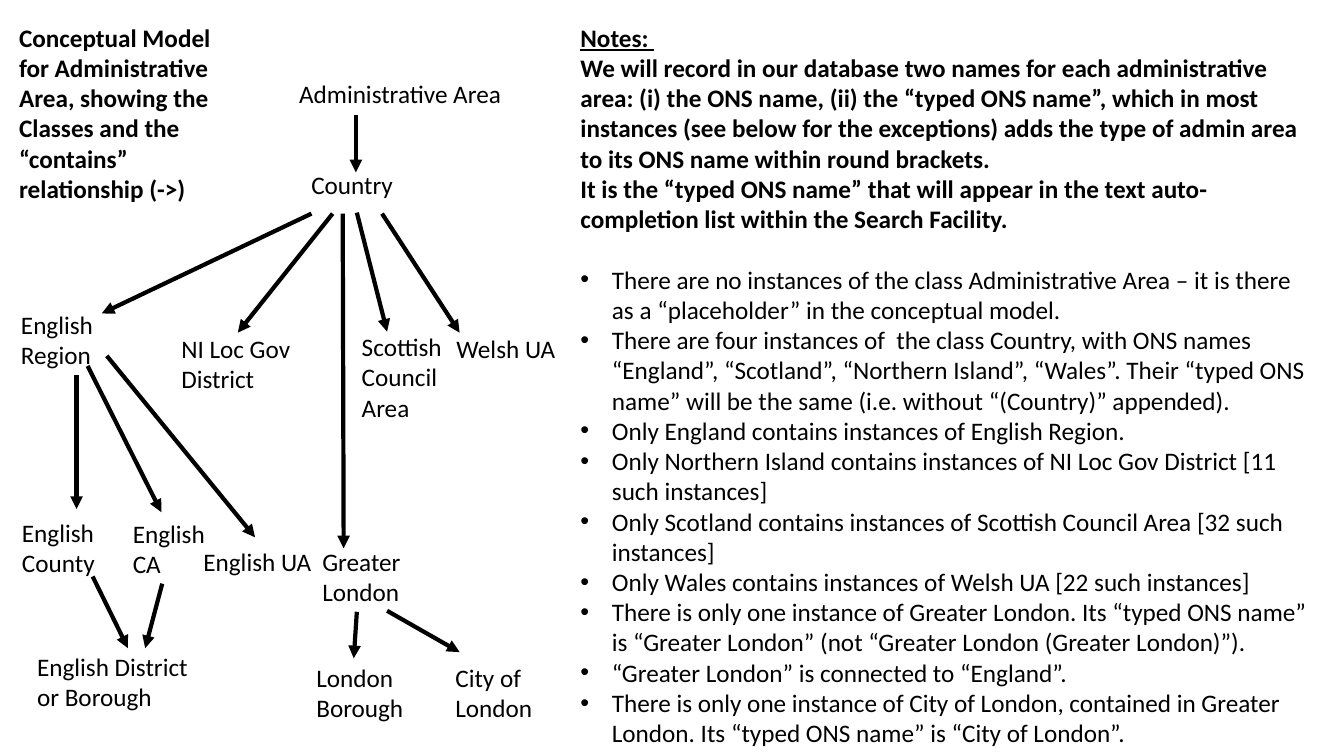
from typing import NamedTuple

from lxml.etree import SubElement
from pptx import Presentation
from pptx.dml.color import RGBColor
from pptx.enum.shapes import MSO_CONNECTOR
from pptx.oxml.ns import qn
from pptx.slide import Slide
from pptx.text.text import TextFrame, _Paragraph
from pptx.util import Pt

COLOURS = {"background": "FFFFFF", "ink": "000000"}
FONT = "Calibri"
FONT_SIZE = 18
LINE_HEIGHT = 21.6
BULLET_INDENT = 22.5


class Label(NamedTuple):
    text: str
    left: float
    top: float
    width: float
    lines: int = 1
    bold: bool = False


class Arrow(NamedTuple):
    start: tuple[float, float]
    end: tuple[float, float]


TITLE = Label(
    "Conceptual Model for Administrative Area, showing the Classes and the "
    "“contains” relationship (->)",
    6.5, 12.2, 176.4, 6, True,
)

AREA_CLASSES = [
    Label("Administrative Area", 206.6, 52.6, 167.8),
    Label("Country", 215.3, 117.4, 167.8),
    Label("English Region", 7.9, 217.4, 92.9, 2),
    Label("NI Loc Gov District", 122.4, 234.7, 113.8, 2),
    Label("Scottish Council Area", 251.3, 233.3, 92.9, 3),
    Label("Welsh UA", 319, 234.7, 113),
    Label("English County", 8.6, 365.8, 106.6, 2),
    Label("English CA", 87.8, 366.5, 77, 2),
    Label("English UA", 138.2, 386.6, 97.2),
    Label("Greater London", 223.2, 386.6, 91.4, 2),
    Label("English District or Borough", 19.4, 461.5, 137.5, 2),
    Label("London\nBorough", 218.9, 469.4, 81.4, 2),
    Label("City of London", 318.2, 469.4, 77.8, 2),
]

CONTAINS = [
    Arrow((254.2, 82.1), (254.2, 123.1)),
    Arrow((222.5, 152.6), (72.7, 223.9)),
    Arrow((237.6, 152.6), (169.9, 237.6)),
    Arrow((244.8, 152.6), (245.5, 391.7)),
    Arrow((254.9, 151.9), (276.5, 236.9)),
    Arrow((272.9, 152.6), (328.3, 237.6)),
    Arrow((54.7, 267.8), (54.7, 363.6)),
    Arrow((62.6, 261.4), (115.2, 365.8)),
    Arrow((76.3, 254.2), (182.2, 383.8)),
    Arrow((66.2, 411.8), (91.4, 463)),
    Arrow((115.9, 416.9), (103.7, 463)),
    Arrow((254.9, 437), (252.7, 470.2)),
    Arrow((276.5, 436.3), (328.3, 465.8)),
]

NOTES_HEADING = "Notes: "
NAMING_RULES = [
    "We will record in our database two names for each administrative area: "
    "(i) the ONS name, (ii) the “typed ONS name”, which in most instances "
    "(see below for the exceptions) adds the type of admin area to its ONS "
    "name within round brackets.",
    "It is the “typed ONS name” that will appear in the text "
    "auto-completion list within the Search Facility.",
]
INSTANCE_NOTES = [
    "There are no instances of the class Administrative Area – it is there "
    "as a “placeholder” in the conceptual model.",
    "There are four instances of  the class Country, with ONS names "
    "“England”, “Scotland”, “Northern Island”, “Wales”. Their “typed ONS "
    "name” will be the same (i.e. without “(Country)” appended).",
    "Only England contains instances of English Region.",
    "Only Northern Island contains instances of NI Loc Gov District "
    "[11 such instances]",
    "Only Scotland contains instances of Scottish Council Area "
    "[32 such instances]",
    "Only Wales contains instances of Welsh UA [22 such instances]",
    "There is only one instance of Greater London. Its “typed ONS name” is "
    "“Greater London” (not “Greater London (Greater London)”).",
    "“Greater London” is connected to “England”.",
    "There is only one instance of City of London, contained in Greater "
    "London. Its “typed ONS name” is “City of London”.",
]
NOTES = Label(
    "\n".join([NOTES_HEADING, *NAMING_RULES, *INSTANCE_NOTES]),
    407.5, 12.2, 535, 27,
)


def ink() -> RGBColor:
    return RGBColor.from_string(COLOURS["ink"])


def add_label(slide: Slide, label: Label) -> TextFrame:
    height = label.lines * LINE_HEIGHT + 7.2
    box = slide.shapes.add_textbox(
        Pt(label.left), Pt(label.top), Pt(label.width), Pt(height)
    )
    frame = box.text_frame
    frame.word_wrap = True
    frame.text = label.text
    for paragraph in frame.paragraphs:
        paragraph.font.name = FONT
        paragraph.font.size = Pt(FONT_SIZE)
        paragraph.font.bold = label.bold
        paragraph.font.color.rgb = ink()
    return frame


def add_arrow(slide: Slide, arrow: Arrow) -> None:
    connector = slide.shapes.add_connector(
        MSO_CONNECTOR.STRAIGHT, *map(Pt, arrow.start + arrow.end)
    )
    connector.line.width = Pt(3)
    connector.line.color.rgb = ink()
    SubElement(connector.line._get_or_add_ln(), qn("a:tailEnd"), type="triangle")
    SubElement(connector._element.spPr, qn("a:effectLst"))


def add_bullet(paragraph: _Paragraph) -> None:
    properties = paragraph._p.get_or_add_pPr()
    properties.set("marL", str(Pt(BULLET_INDENT)))
    properties.set("indent", str(-Pt(BULLET_INDENT)))
    bullet_font = properties.makeelement(qn("a:buFont"), {"typeface": "Arial"})
    bullet = properties.makeelement(qn("a:buChar"), {"char": "•"})
    default_font = properties.find(qn("a:defRPr"))
    default_font.addprevious(bullet_font)
    default_font.addprevious(bullet)


def add_notes(slide: Slide) -> None:
    heading, *body = add_label(slide, NOTES).paragraphs
    rules, instances = body[:len(NAMING_RULES)], body[len(NAMING_RULES):]
    heading.font.underline = True
    for paragraph in [heading, *rules]:
        paragraph.font.bold = True
    instances[0].space_before = Pt(LINE_HEIGHT)
    for paragraph in instances:
        add_bullet(paragraph)


presentation = Presentation()
presentation.slide_width = Pt(960)
presentation.slide_height = Pt(540)
slide = presentation.slides.add_slide(presentation.slide_layouts[6])
slide.background.fill.solid()
slide.background.fill.fore_color.rgb = RGBColor.from_string(COLOURS["background"])

add_label(slide, TITLE)
add_notes(slide)
for area_class in AREA_CLASSES:
    add_label(slide, area_class)
for arrow in CONTAINS:
    add_arrow(slide, arrow)

presentation.save("out.pptx")
